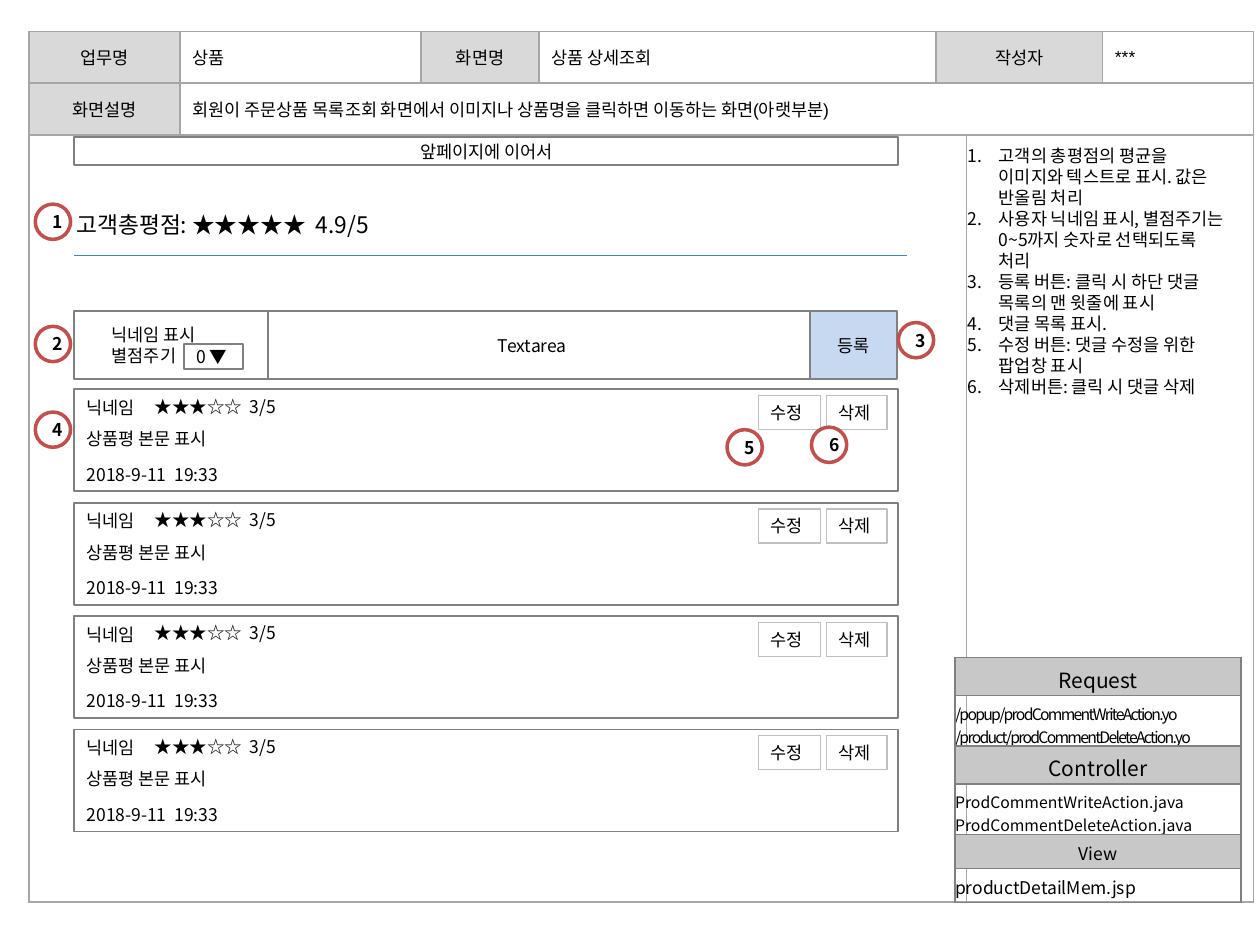
from lxml import etree
from pptx import Presentation
from pptx.dml.color import RGBColor
from pptx.enum.shapes import MSO_CONNECTOR, MSO_SHAPE
from pptx.enum.text import MSO_ANCHOR, MSO_AUTO_SIZE, PP_ALIGN
from pptx.oxml import parse_xml
from pptx.oxml.ns import nsdecls, qn
from pptx.util import Inches, Pt

RECTANGLE, OVAL = MSO_SHAPE.RECTANGLE, MSO_SHAPE.OVAL
LEFT, CENTER = PP_ALIGN.LEFT, PP_ALIGN.CENTER
TOP, MIDDLE = MSO_ANCHOR.TOP, MSO_ANCHOR.MIDDLE
BLACK = RGBColor(0x00, 0x00, 0x00)
WHITE = RGBColor(0xFF, 0xFF, 0xFF)
GRAY = RGBColor(0x80, 0x80, 0x80)
FRAME_GRAY = RGBColor(0xA6, 0xA6, 0xA6)
BUTTON_GRAY = RGBColor(0xBF, 0xBF, 0xBF)
LABEL_FILL = RGBColor(0xD9, 0xD9, 0xD9)
HEADING_FILL = RGBColor(0xC8, 0xC8, 0xC8)
LIGHT_BLUE = RGBColor(0xC6, 0xD9, 0xF1)
RULE_BLUE = RGBColor(0x4B, 0x7E, 0xBC)
RED = RGBColor(0xC0, 0x50, 0x4D)
FONT, HEADER_FONT = "Noto Sans CJK KR", "Arial"

# Frame cells: row, first column, last column, text, is a label
FRAME_COLUMNS = [1.2, 1.91, 0.94, 3.15, 0.13, 1.08, 1.2]
FRAME_ROWS = [0.41, 0.41, 6.09]
FRAME_CELLS = [
    (0, 0, 0, "업무명", True), (0, 1, 1, "상품", False),
    (0, 2, 2, "화면명", True), (0, 3, 3, "상품 상세조회", False),
    (0, 4, 5, "작성자", True), (0, 6, 6, "***", False),
    (1, 0, 0, "화면설명", True),
    (1, 1, 6, "회원이 주문상품 목록조회 화면에서 이미지나 상품명을 클릭하면 이동하는 화면(아랫부분)", False),
    (2, 0, 4, "", False), (2, 5, 6, "", False),
]
NOTES = [
    "고객의 총평점의 평균을 이미지와 텍스트로 표시. 값은 반올림 처리",
    "사용자 닉네임 표시, 별점주기는 0~5까지 숫자로 선택되도록 처리",
    "등록 버튼: 클릭 시 하단 댓글 목록의 맨 윗줄에 표시",
    "댓글 목록 표시.",
    "수정 버튼: 댓글 수정을 위한 팝업창 표시",
    "삭제버튼: 클릭 시 댓글 삭제",
]
# Mapping rows: text lines, size, height, is a heading
MAPPING_ROWS = [
    (["Request"], 12, 0.3, True),
    (["/popup/prodCommentWriteAction.yo /product/prodCommentDeleteAction.yo"], 9, 0.4, False),
    (["Controller"], 12, 0.3, True),
    (["ProdCommentWriteAction.java", "ProdCommentDeleteAction.java"], 9, 0.4, False),
    (["View"], 10, 0.27, True),
    (["productDetailMem.jsp"], 10, 0.27, False),
]
# Review parts: left, offset from the card top, width, text, wraps
REVIEW_TEXTS = [
    (0.59, 0.01, 0.63, "닉네임", False),
    (1.13, 0, 2.93, "★★★☆☆  3/5", True),
    (0.59, 0.26, 6.38, "상품평 본문 표시", True),
    (0.59, 0.54, 1.89, "2018-9-11  19:33", True),
]
REVIEW_BUTTONS = [(6.02, 0.49, "수정"), (6.56, 0.48, "삭제")]
REVIEW_COUNT, REVIEW_TOP, REVIEW_PITCH = 4, 3.09, 0.9
MARKERS = [(0.28, 1.62), (0.28, 2.59), (7.13, 2.56),
           (0.28, 3.27), (5.77, 3.41), (6.44, 3.39)]


def write_text(frame, lines, size=10, font=FONT, bold=False, align=LEFT, indent=0,
               numbered=False, spacing=None):
    for index, line in enumerate(lines):
        paragraph = frame.paragraphs[0] if index == 0 else frame.add_paragraph()
        paragraph.alignment = align
        properties = paragraph._p.get_or_add_pPr()
        if indent:
            properties.set("marL", str(Inches(indent)))
        if numbered:
            properties.set("indent", str(-Inches(indent)))
            etree.SubElement(properties, qn("a:buAutoNum"), type="arabicPeriod")
        run = paragraph.add_run()
        run.text = line
        run.font.size, run.font.bold, run.font.name = Pt(size), bold, font
        run.font.color.rgb = BLACK
        run_properties = run._r.get_or_add_rPr()
        etree.SubElement(run_properties, qn("a:ea"), typeface=FONT)
        if spacing:
            run_properties.set("spc", str(spacing * 100))


def add_box(shapes, box, lines=(), kind=RECTANGLE, fill=WHITE, line=GRAY, weight=1,
            anchor=MIDDLE, wrap=True, **text_format):
    shape = shapes.add_shape(kind, *map(Inches, box))
    shape.shadow.inherit = False
    if fill is None:
        shape.fill.background()
    else:
        shape.fill.solid()
        shape.fill.fore_color.rgb = fill
    shape.line.color.rgb = line
    shape.line.width = Pt(weight)
    shape.text_frame.vertical_anchor = anchor
    shape.text_frame.word_wrap = wrap
    write_text(shape.text_frame, lines, **text_format)


def add_label(shapes, box, lines, wrap=True, **text_format):
    frame = shapes.add_textbox(*map(Inches, box)).text_frame
    frame.word_wrap = wrap
    frame.auto_size = MSO_AUTO_SIZE.SHAPE_TO_FIT_TEXT
    write_text(frame, lines, **text_format)


def add_table(shapes, left, top, columns, rows, border):
    """Add a plain table whose cells all have a thin border."""
    box = map(Inches, (left, top, sum(columns), sum(rows)))
    table = shapes.add_table(len(rows), len(columns), *box).table
    table.first_row = table.horz_banding = False
    for column, width in zip(table.columns, columns):
        column.width = Inches(width)
    for row, height in zip(table.rows, rows):
        row.height = Inches(height)
    for cell in table.iter_cells():
        cell.vertical_anchor = MIDDLE
        cell.fill.background()
        for index, side in enumerate(("lnL", "lnR", "lnT", "lnB")):
            cell._tc.get_or_add_tcPr().insert(index, parse_xml(
                f'<a:{side} {nsdecls("a")} w="{Pt(1)}"><a:solidFill>'
                f'<a:srgbClr val="{border}"/></a:solidFill></a:{side}>'))
    return table


def fill_cell(cell, color):
    cell.fill.solid()
    cell.fill.fore_color.rgb = color


def add_frame(shapes):
    table = add_table(shapes, 0.23, 0.25, FRAME_COLUMNS, FRAME_ROWS, FRAME_GRAY)
    for row, first, last, text, is_label in FRAME_CELLS:
        cell = table.cell(row, first)
        if last > first:
            cell.merge(table.cell(row, last))
        fill_cell(cell, LABEL_FILL if is_label else WHITE)
        if text:
            write_text(cell.text_frame, [text], font=HEADER_FONT,
                       align=CENTER if is_label else LEFT)


def add_mapping(shapes):
    heights = [height for _, _, height, _ in MAPPING_ROWS]
    table = add_table(shapes, 7.58, 5.22, [2.27], heights, GRAY)
    for index, (lines, size, _, is_heading) in enumerate(MAPPING_ROWS):
        cell = table.cell(index, 0)
        cell.margin_left = cell.margin_right = 0
        if is_heading:
            fill_cell(cell, HEADING_FILL)
        write_text(cell.text_frame, lines, size=size, align=CENTER if is_heading else LEFT,
                   spacing=-1 if lines[0].startswith("/") else None)


def add_review(shapes, top):
    card = shapes.add_group_shape().shapes
    add_box(card, (0.59, top, 6.54, 0.81))
    for left, offset, width, text, wrap in REVIEW_TEXTS:
        add_label(card, (left, top + offset, width, 0.27), [text], wrap=wrap)
    for left, width, text in REVIEW_BUTTONS:
        add_box(card, (left, top + 0.05, width, 0.27), [text], fill=None,
                line=BUTTON_GRAY, weight=0.75, anchor=TOP, wrap=False)


def main():
    presentation = Presentation()
    presentation.slide_width, presentation.slide_height = Inches(10), Inches(7.5)
    shapes = presentation.slides.add_slide(presentation.slide_layouts[6]).shapes

    add_frame(shapes)
    add_box(shapes, (2.01, 2.47, 4.43, 0.54), ["Textarea"], align=CENTER)
    add_box(shapes, (0.59, 1.09, 6.54, 0.22), ["앞페이지에 이어서"], align=CENTER)
    add_label(shapes, (0.51, 1.62, 3.63, 0.32), ["고객총평점: ★★★★★  4.9/5"], size=13)
    rule = shapes.add_connector(MSO_CONNECTOR.STRAIGHT, *map(Inches, (0.59, 2.03, 7.2, 2.03)))
    rule.line.color.rgb = RULE_BLUE
    rule.line.width = Pt(0.75)
    etree.SubElement(rule._element.spPr, qn("a:effectLst"))
    add_box(shapes, (6.43, 2.47, 0.69, 0.54), ["등록"], fill=LIGHT_BLUE, align=CENTER)

    for index in range(REVIEW_COUNT):
        add_review(shapes, REVIEW_TOP + index * REVIEW_PITCH)
    for number, (left, top) in enumerate(MARKERS, start=1):
        add_box(shapes, (left, top, 0.28, 0.28), [str(number)], kind=OVAL, line=RED,
                weight=2, bold=True, align=CENTER)

    add_label(shapes, (7.58, 1.1, 2.27, 2.12), NOTES, indent=0.25, numbered=True)
    add_box(shapes, (0.59, 2.47, 1.54, 0.54), ["닉네임 표시", "별점주기"], indent=0.2)
    add_box(shapes, (1.46, 2.73, 0.47, 0.2), ["0 ▼"])
    add_mapping(shapes)
    presentation.save("out.pptx")


if __name__ == "__main__":
    main()
